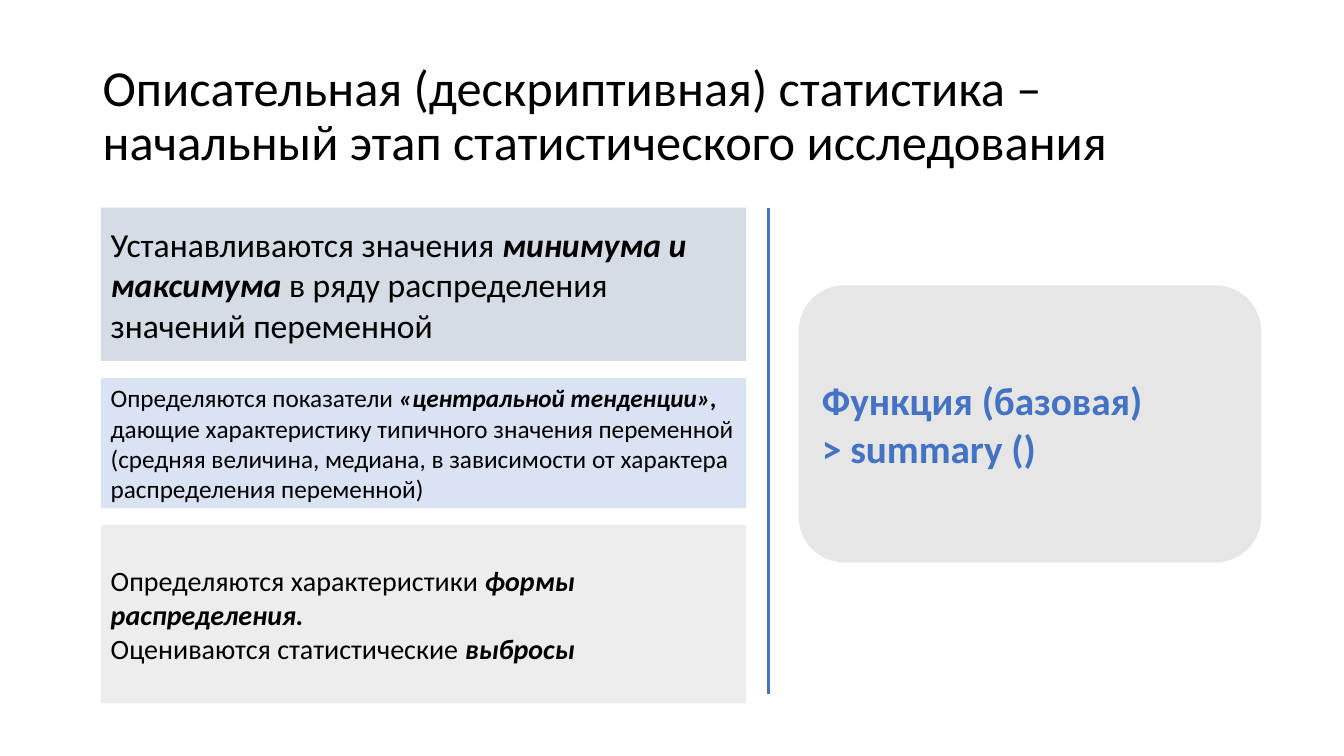
from pptx import Presentation
from pptx.dml.color import RGBColor
from pptx.enum.shapes import MSO_CONNECTOR, MSO_SHAPE
from pptx.enum.text import MSO_ANCHOR, PP_ALIGN
from pptx.oxml.ns import qn
from pptx.util import Pt
from lxml import etree

PX = 9144  # 100 px to the inch

BLACK = RGBColor(0x00, 0x00, 0x00)
BLUE = RGBColor(0x44, 0x72, 0xC4)
SLATE = RGBColor(0xD6, 0xDC, 0xE5)
PALE_BLUE = RGBColor(0xDA, 0xE3, 0xF3)
PALE_GRAY = RGBColor(0xED, 0xED, 0xED)
GRAY = RGBColor(0xE7, 0xE6, 0xE6)

EMPHASIS = {"bold": True, "italic": True}
STRONG = {"bold": True}

# Steps of the analysis: top, height, fill, text size, paragraphs of (text, format)
STEPS = [
    (206, 152, SLATE, 24, [
        [("Устанавливаются значения ", {}),
         ("минимума и максимума", EMPHASIS),
         (" в ряду распределения значений переменной", {})]]),
    (375, 129, PALE_BLUE, 18, [
        [("Определяются показатели ", {}),
         ("«центральной тенденции», ", EMPHASIS),
         ("дающие характеристику типичного значения переменной "
          "(средняя величина, медиана, в зависимости от характера "
          "распределения переменной)", {})]]),
    (521, 177, PALE_GRAY, 20, [
        [("Определяются характеристики ", {}),
         ("формы распределения.", EMPHASIS)],
        [("Оцениваются статистические ", {}),
         ("выбросы", EMPHASIS)]]),
]


def to_emu(*lengths):
    return [length * PX for length in lengths]


def write_text(sp, paragraphs, size, color, spacing=1.0):
    tf = sp.text_frame
    for name, value in {"word_wrap": True,
                        "vertical_anchor": MSO_ANCHOR.MIDDLE}.items():
        setattr(tf, name, value)
    for i, runs in enumerate(paragraphs):
        p = tf.paragraphs[0] if i == 0 else tf.add_paragraph()
        p.alignment = PP_ALIGN.LEFT
        p.line_spacing = spacing
        for text, extra in runs:
            r = p.add_run()
            r.text = text
            r.font.color.rgb = color
            for name, value in {"name": "Calibri", "size": Pt(size), **extra}.items():
                setattr(r.font, name, value)


def add_title(s, box, text):
    sp = s.shapes.add_textbox(*to_emu(*box))
    write_text(sp, [[(text, {})]], 36, BLACK, 0.9)


def add_panel(s, kind, box, fill, paragraphs, size, color):
    sp = s.shapes.add_shape(kind, *to_emu(*box))
    sp.shadow.inherit = False
    sp.fill.solid()
    sp.fill.fore_color.rgb = fill
    sp.line.fill.background()
    write_text(sp, paragraphs, size, color)


def add_divider(s, x, top, bottom):
    line = s.shapes.add_connector(MSO_CONNECTOR.STRAIGHT, *to_emu(x, top, x, bottom))
    line.line.color.rgb = BLUE
    line.line.width = Pt(2)
    etree.SubElement(line._element.spPr, qn("a:effectLst"))


def main():
    prs = Presentation()
    prs.slide_width, prs.slide_height = to_emu(1333, 750)
    s = prs.slides.add_slide(prs.slide_layouts[6])

    # Title
    add_title(s, (92, 40, 1150, 152),
              "Описательная (дескриптивная) статистика – "
              "начальный этап статистического исследования")

    # Steps on the left
    for top, height, fill, size, paragraphs in STEPS:
        add_panel(s, MSO_SHAPE.RECTANGLE, (100, top, 640, height),
                  fill, paragraphs, size, BLACK)

    # Function on the right
    add_panel(s, MSO_SHAPE.ROUNDED_RECTANGLE, (792, 283, 459, 275), GRAY,
              [[("Функция (базовая)", STRONG)], [("> summary ()", STRONG)]], 28, BLUE)

    # Divider between the columns
    add_divider(s, 762, 206, 689)

    prs.save("out.pptx")


if __name__ == "__main__":
    main()
